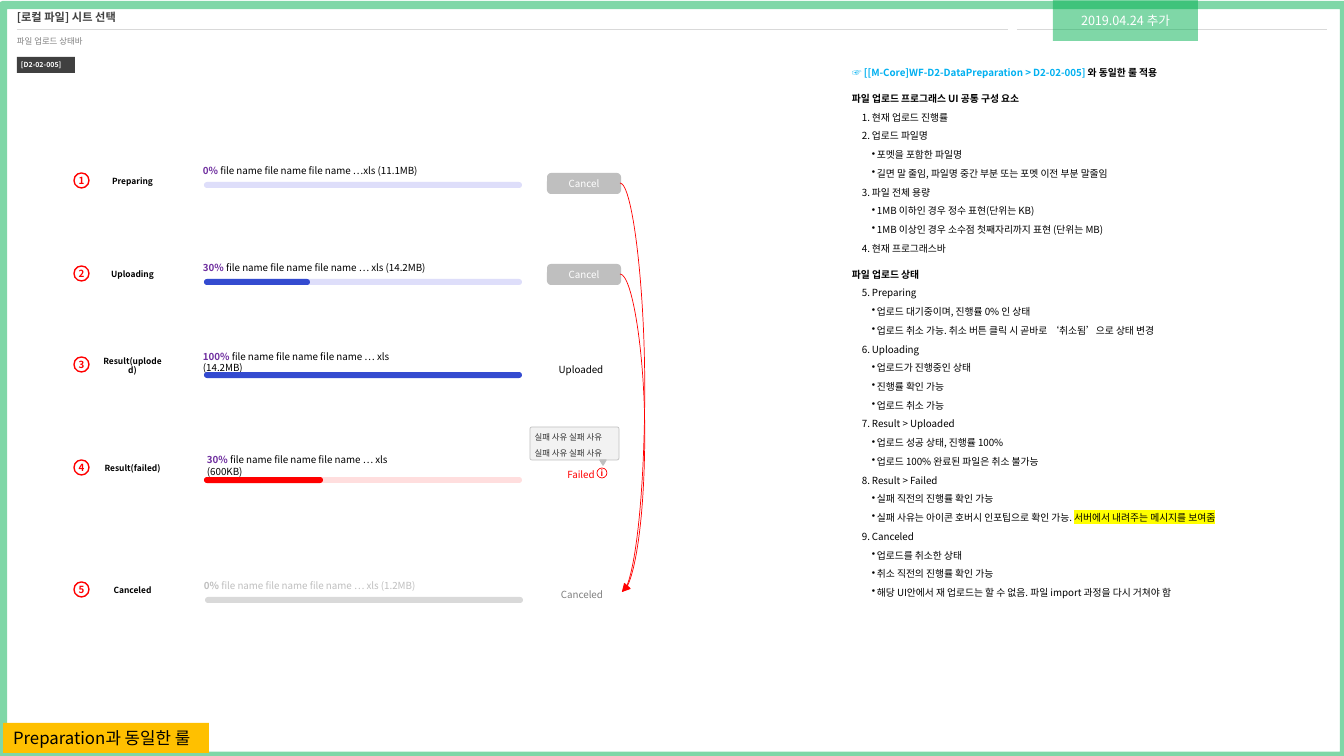
from lxml import etree
from pptx import Presentation
from pptx.dml.color import RGBColor
from pptx.enum.shapes import MSO_CONNECTOR, MSO_SHAPE
from pptx.enum.text import MSO_ANCHOR, PP_ALIGN
from pptx.oxml.ns import qn
from pptx.util import Emu, Pt

RECT, ROUND = MSO_SHAPE.RECTANGLE, MSO_SHAPE.ROUNDED_RECTANGLE
OVAL, TRIANGLE = MSO_SHAPE.OVAL, MSO_SHAPE.ISOSCELES_TRIANGLE
STRAIGHT, CURVE = MSO_CONNECTOR.STRAIGHT, MSO_CONNECTOR.CURVE
TOP, MIDDLE, BOTTOM = MSO_ANCHOR.TOP, MSO_ANCHOR.MIDDLE, MSO_ANCHOR.BOTTOM
LEFT, CENTER = PP_ALIGN.LEFT, PP_ALIGN.CENTER

BLACK = RGBColor(0x00, 0x00, 0x00)
WHITE = RGBColor(0xFF, 0xFF, 0xFF)
INK = RGBColor(0x40, 0x40, 0x40)
TIP_INK = RGBColor(0x33, 0x33, 0x33)
GRAY = RGBColor(0x80, 0x80, 0x80)
SILVER = RGBColor(0xBF, 0xBF, 0xBF)
RULE = RGBColor(0xD9, 0xD9, 0xD9)
PALE = RGBColor(0xF2, 0xF2, 0xF2)
GREEN = RGBColor(0x00, 0xB0, 0x50)
RED = RGBColor(0xFF, 0x00, 0x00)
BLUE = RGBColor(0x34, 0x4B, 0xD0)
LILAC = RGBColor(0xDE, 0xDE, 0xFA)
PURPLE = RGBColor(0x70, 0x30, 0xA0)
SKY = RGBColor(0x00, 0xB0, 0xF0)
AMBER = RGBColor(0xFF, 0xC0, 0x00)

FONT = "Noto Sans CJK KR"
DEFAULT_INSETS = (10, 5, 10, 5)
NO_INSETS = (0, 0, 0, 0)

# Status rows: label, circle top, text left/top/width, percent, file text, bar left/top,
# track colour and opacity, done width and colour, state left/top, state text, ink, fill
ROWS = [
    ("Preparing", 173, (199, 166, 220), "0% ", "file name file name file name …xls (11.1MB)",
     (204, 182), LILAC, 100, 0, None, (547, 173), "Cancel", WHITE, SILVER),
    ("Uploading", 266, (199, 263, 233), "30% ", "file name file name file name … xls (14.2MB)",
     (204, 279), LILAC, 100, 106, BLUE, (547, 264), "Cancel", WHITE, SILVER),
    ("Result(uploded)", 357, (199, 357, 220), "100% ",
     "file name file name file name … xls (14.2MB)",
     (204, 372), BLUE, 100, 0, None, (544, 359), "Uploaded", BLACK, None),
    ("Result(failed)", 460, (203, 461, 220), "30% ", "file name file name file name … xls (600KB)",
     (204, 477), RED, 13, 119, RED, (544, 464), "Failed", RED, None),
    ("Canceled", 582, (200, 581, 220), "0% ", "file name file name file name … xls (1.2MB)",
     (205, 597), RULE, 100, 0, None, (545, 584), "Canceled", GRAY, None),
]

# Description: headings, each with its numbered items and their bullets
RULES = [
    ("파일 업로드 프로그래스 UI 공통 구성 요소", [
        ("현재 업로드 진행률", []),
        ("업로드 파일명", ["포멧을 포함한 파일명",
                     "길면 말 줄임, 파일명 중간 부분 또는 포멧 이전 부분 말줄임"]),
        ("파일 전체 용량", ["1MB 이하인 경우 정수 표현(단위는 KB)",
                      "1MB 이상인 경우 소수점 첫째자리까지 표현 (단위는 MB)"]),
        ("현재 프로그래스바", [])]),
    ("파일 업로드 상태", [
        ("Preparing", ["업로드 대기중이며, 진행률 0% 인 상태",
                       "업로드 취소 가능. 취소 버튼 클릭 시 곧바로 ‘취소됨’으로 상태 변경"]),
        ("Uploading", ["업로드가 진행중인 상태", "진행률 확인 가능", "업로드 취소 가능"]),
        ("Result > Uploaded", ["업로드 성공 상태, 진행률 100%",
                               "업로드 100% 완료된 파일은 취소 불가능"]),
        ("Result > Failed", ["실패 직전의 진행률 확인 가능",
                             "실패 사유는 아이콘 호버시 인포팁으로 확인 가능. "]),
        ("Canceled", ["업로드를 취소한 상태", "취소 직전의 진행률 확인 가능",
                      "해당 UI안에서 재 업로드는 할 수 없음. 파일 import 과정을 다시 거쳐야 함"])]),
]
HIGHLIGHTED = "서버에서 내려주는 메시지를 보여줌"


def px(count):
    return Emu(round(count * 914400 / 100.8))


def child(parent, tag, **attributes):
    return etree.SubElement(parent, qn(tag), attributes)


class Page:
    def __init__(self, deck):
        self.shapes = deck.slides.add_slide(deck.slide_layouts[6]).shapes

    def fade(self, properties, opacity):
        if opacity < 100:
            color = next(properties.iter(qn("a:srgbClr")))
            child(color, "a:alpha", val=str(opacity * 1000))

    def frame(self, box, anchor=TOP, insets=DEFAULT_INSETS, wrap=True):
        frame = box.text_frame
        frame.word_wrap = wrap
        frame.vertical_anchor = anchor
        (frame.margin_left, frame.margin_top,
         frame.margin_right, frame.margin_bottom) = map(px, insets)
        return frame

    def span(self, para, text, size, color, bold=False, highlight=None):
        span = para.add_run()
        span.text = text
        font = span.font
        font.size, font.bold, font.name = Pt(size), bold, FONT
        font.color.rgb = color
        properties = span._r.get_or_add_rPr()
        properties.find(qn("a:latin")).addnext(etree.Element(qn("a:ea"), typeface=FONT))
        if highlight:
            mark = etree.Element(qn("a:highlight"))
            child(mark, "a:srgbClr", val=highlight)
            properties.find(qn("a:solidFill")).addnext(mark)

    def first_para(self, frame, spans, align=LEFT, spacing=None):
        para = frame.paragraphs[0]
        para.alignment = align
        if spacing:
            para.line_spacing = spacing
        for span in spans:
            self.span(para, *span)

    def text(self, area, spans, anchor=TOP, insets=DEFAULT_INSETS, align=LEFT, spacing=None):
        box = self.shapes.add_textbox(*map(px, area))
        self.first_para(self.frame(box, anchor, insets), spans, align, spacing)

    def shape(self, kind, area, fill=None, line=None, width=1, opacity=100, corner=None):
        box = self.shapes.add_shape(kind, *map(px, area))
        box.shadow.inherit = False
        if corner is not None:
            box.adjustments[0] = corner
        if fill is None:
            box.fill.background()
        else:
            box.fill.solid()
            box.fill.fore_color.rgb = fill
        if line is None:
            box.line.fill.background()
        else:
            box.line.color.rgb = line
            box.line.width = Pt(width)
        self.fade(box._element.spPr, opacity)
        return box

    def connector(self, kind, start, end, color, width):
        link = self.shapes.add_connector(kind, *map(px, start + end))
        link.line.color.rgb = color
        link.line.width = Pt(width)
        child(link._element.spPr, "a:effectLst")
        return link

    def cancel_arrow(self, start, end, bulge):
        link = self.connector(CURVE, start, end, RED, 0.5)
        properties = link._element.spPr
        child(properties.find(qn("a:ln")), "a:tailEnd", type="triangle")
        guides = next(properties.iter(qn("a:avLst")))
        offset = round((bulge - start[0]) / (end[0] - start[0]) * 100000)
        child(guides, "a:gd", name="adj1", fmla=f"val {offset}")

    def list_item(self, frame, text, level, bullet, **options):
        para = frame.add_paragraph()
        para.level = level
        para.space_before = Pt(5)
        properties = para._p.get_or_add_pPr()
        left, hanging = {1: (20, 10), 2: (25, 5)}[level]
        properties.set("marL", str(px(left)))
        properties.set("indent", str(-px(hanging)))
        child(properties, bullet, **options)
        self.span(para, text, 7, BLACK)
        return para

    def rules(self, area):
        frame = self.frame(self.shapes.add_textbox(*map(px, area)), insets=NO_INSETS)
        self.first_para(frame, [("☞ [[M-Core]WF-D2-DataPreparation > D2-02-005]", 7, SKY, True),
                                (" 와 동일한 룰 적용", 7, BLACK, True)])
        first = 1
        for heading, items in RULES:
            para = frame.add_paragraph()
            para.space_before = Pt(10)
            self.span(para, heading, 7, BLACK, True)
            for item, details in items:
                self.list_item(frame, item, 1, "a:buAutoNum",
                               type="arabicPeriod", startAt=str(first))
                for detail in details:
                    para = self.list_item(frame, detail, 2, "a:buChar", char="•")
                    if detail.endswith(" "):
                        self.span(para, HIGHLIGHTED, 7, BLACK, False, "FFFF00")
            first += len(items)

    def status_row(self, number, row):
        (label, circle_top, (text_left, text_top, text_width), percent, name, bar, track, opacity,
         done, done_color, state_at, state, ink, fill) = row
        dimmed = label == "Canceled"
        self.text((text_left, text_top, text_width, 10),
                  [(percent, 7, SILVER if dimmed else PURPLE, True),
                   (name, 7, SILVER if dimmed else BLACK)], MIDDLE, (4, 0, 0, 0))
        self.shape(ROUND, (*bar, 318, 6), track, opacity=opacity, corner=0.5)
        if done:
            self.shape(ROUND, (*bar, done, 6), done_color, corner=0.5)
        button = self.shape(ROUND, (*state_at, 74, 21), fill, corner=0.19)
        self.first_para(self.frame(button, MIDDLE, NO_INSETS), [(state, 7, ink)], CENTER)
        circle = self.shape(OVAL, (74, circle_top, 15, 15), WHITE, RED)
        self.first_para(self.frame(circle, MIDDLE, NO_INSETS),
                        [(str(number), 7, RED, True)], CENTER)
        self.text((91, circle_top - 5, 83, 28), [(label, 6, BLACK, True)],
                  MIDDLE, align=CENTER, spacing=0.9)


def main():
    deck = Presentation()
    deck.slide_width, deck.slide_height = px(1344), px(756)
    page = Page(deck)

    # Header
    page.connector(STRAIGHT, (17, 29), (1008, 29), RULE, 0.25)
    page.connector(STRAIGHT, (1017, 29), (1327, 29), RULE, 0.25)
    page.text((17, 0, 991, 28), [("[로컬 파일] 시트 선택", 8, INK, True)],
              BOTTOM, (0, 0, 0, 4), spacing=0.9)
    page.text((17, 29, 991, 28), [("파일 업로드 상태바", 6, GRAY)], TOP, (0, 8, 0, 0), spacing=0.9)

    # Description, frame and tags
    page.rules((852, 67, 409, 671))
    page.shape(RECT, (3, 5, 1341, 751), line=GREEN, width=6, opacity=50)
    code = page.shape(RECT, (17, 57, 58, 16), INK)
    page.first_para(page.frame(code, insets=(4, 4, 4, 4)), [("[D2-02-005]", 5, WHITE, True)])
    date = page.shape(RECT, (1053, 0, 145, 41), GREEN, opacity=50)
    page.first_para(page.frame(date, MIDDLE), [("2019.04.24 추가", 9, WHITE)], CENTER)

    # Upload states
    for number, row in enumerate(ROWS, 1):
        page.status_row(number, row)
    for top in (183, 274):
        page.cancel_arrow((620, top), (622, 592), 645)

    # Failure icon and tooltip
    icon = page.shape(OVAL, (597, 468, 10, 10), line=RED, width=0.5)
    page.first_para(page.frame(icon, MIDDLE, NO_INSETS), [("i", 6, RED, True)], CENTER)
    tip = page.shape(ROUND, (530, 427, 89, 33), PALE, SILVER, 0.5, corner=0.06)
    page.first_para(page.frame(tip, insets=(4, 0, 4, 0)),
                    [("실패 사유 실패 사유 실패 사유 실패 사유", 6, TIP_INK)], spacing=1.5)
    page.shape(TRIANGLE, (600, 460, 6, 5), SILVER, SILVER).rotation = 180

    # Footer note
    note = page.shape(RECT, (3, 723, 206, 30), AMBER)
    page.first_para(page.frame(note, wrap=False), [("Preparation과 동일한 룰", 12, BLACK)])
    deck.save("out.pptx")


if __name__ == "__main__":
    main()
